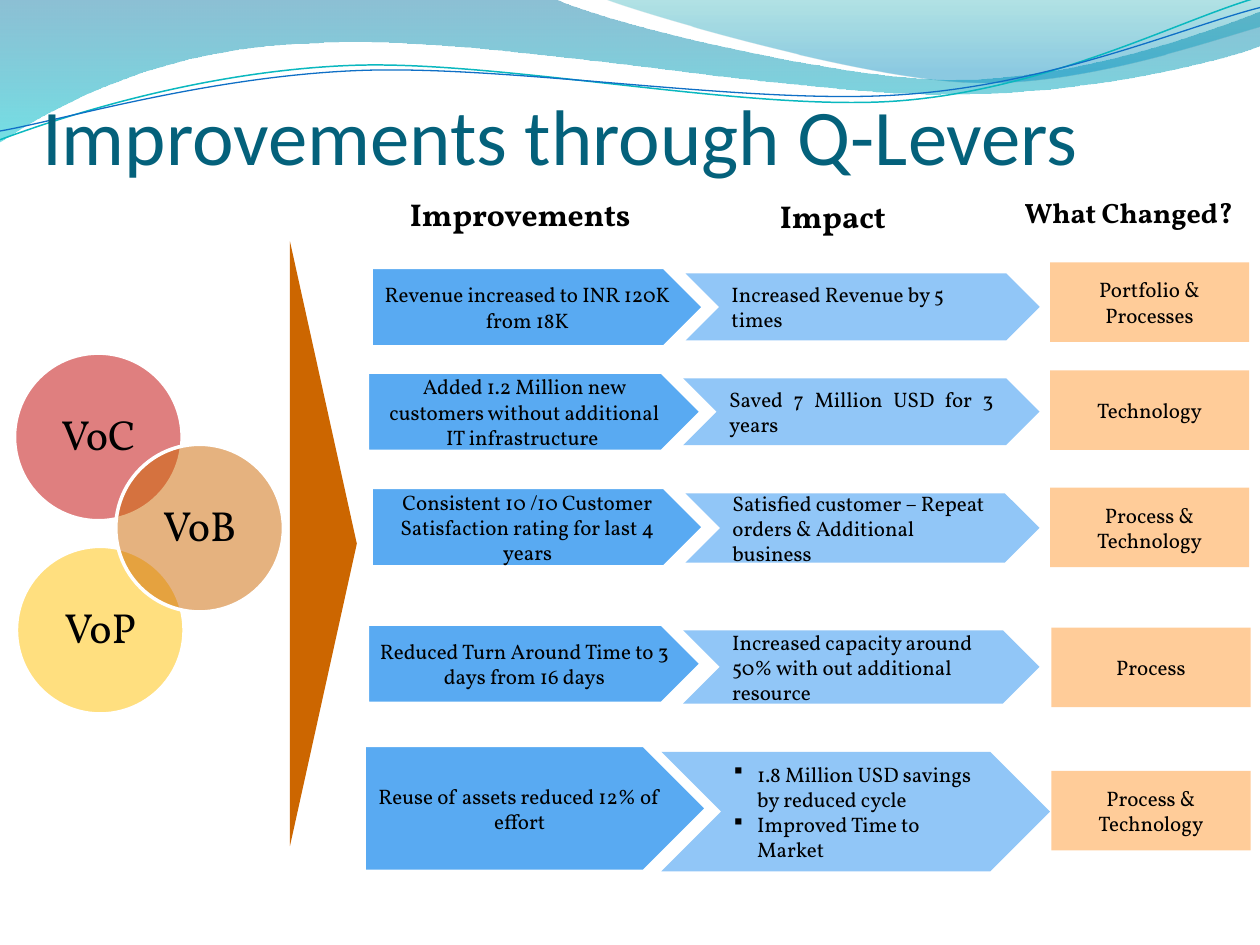
from lxml import etree
from pptx import Presentation
from pptx.dml.color import RGBColor
from pptx.enum.shapes import MSO_SHAPE
from pptx.enum.text import MSO_ANCHOR, MSO_AUTO_SIZE, PP_ALIGN
from pptx.oxml.ns import qn
from pptx.util import Pt

LEFT, CENTER, JUSTIFY = PP_ALIGN.LEFT, PP_ALIGN.CENTER, PP_ALIGN.JUSTIFY
MIDDLE, BOTTOM = MSO_ANCHOR.MIDDLE, MSO_ANCHOR.BOTTOM
OVAL, TRIANGLE = MSO_SHAPE.OVAL, MSO_SHAPE.ISOSCELES_TRIANGLE
PLATE, CHEVRON, RECTANGLE = MSO_SHAPE.PENTAGON, MSO_SHAPE.CHEVRON, MSO_SHAPE.RECTANGLE
NO_FIT, GROW = MSO_AUTO_SIZE.NONE, MSO_AUTO_SIZE.SHAPE_TO_FIT_TEXT

colour = RGBColor.from_string


def write(shape, lines, size, align=CENTER, bold=False, font="Vollkorn", ink="000000"):
    frame = shape.text_frame
    frame.word_wrap = True
    for number, line in enumerate(lines):
        paragraph = frame.add_paragraph() if number else frame.paragraphs[0]
        paragraph.alignment = align
        if len(lines) > 1:
            properties = paragraph._p.get_or_add_pPr()
            properties.set("marL", str(Pt(13.5)))
            properties.set("indent", str(Pt(-13.5)))
            etree.SubElement(properties, qn("a:buFont")).set("typeface", "Wingdings")
            etree.SubElement(properties, qn("a:buChar")).set("char", "§")
        run = paragraph.add_run()
        run.text = line
        run.font.name = font
        run.font.size = Pt(size)
        run.font.bold = bold
        run.font.color.rgb = colour(ink)
    return frame


def fade(shape, opacities):
    for tone, opacity in zip(shape._element.spPr.iter(qn("a:srgbClr")), opacities):
        etree.SubElement(tone, qn("a:alpha")).set("val", str(opacity * 1000))


deck = Presentation()
deck.slide_width, deck.slide_height = Pt(720), Pt(540)
slide = deck.slides.add_slide(deck.slide_layouts[5])
shapes = slide.shapes

bands = [
    ([(0, 0), (316.8, -0.7), (342.7, 12.2, 478.1, 45.4, 545.8, 45.4),
      (614.2, 45.4, 689.8, 18.7, 720, 6.5), (720.7, 25.9),
      (707.8, 31.7, 626.4, 54.7, 537.1, 54), (447.8, 54, 275, 20.2, 185, 24.5),
      (92.9, 25.9, 33.1, 59.8, -0.7, 81.4), (0, 0)],
     [(0, "0074A1", 45), (1, "00C6CF", 55)], None),
    ([(344.9, -0.7), (366.5, 7.9, 491, 44.6, 553.7, 46.8),
      (616.3, 49.7, 691.9, 23, 720, 15.1), (720, 0), (344.9, -0.7)],
     [(0, "00A1A9", 30), (0.8, "008BBF", 45)], None),
    ([(-1.4, 62.9), (33.8, 51.7, 114.1, 29.4, 199.8, 29.9),
      (284.9, 30.3, 425.8, 67.3, 512.4, 64.9), (599, 62.4, 676.5, 25.7, 720.2, 15.6)],
     None, ("0AB8BF", 0.85)),
    ([(-1.1, 57.9), (32.9, 53.7, 118.3, 32.5, 204.1, 33),
      (290.6, 33.4, 428.9, 63.8, 515.5, 61.4), (601.3, 59.6, 678.4, 30.1, 721.4, 21.3)],
     None, ("0F6FC6", 0.75)),
]
for segments, stops, stroke in bands:
    points = [(Pt(x), Pt(y)) for segment in segments
              for x, y in zip(segment[::2], segment[1::2])]
    builder = shapes.build_freeform(*points[0])
    builder.add_line_segments(points[1:], close=stops is not None)
    wave = builder.convert_to_shape()
    wave.shadow.inherit = False
    outline = next(wave._element.iter(qn("a:path")))
    nodes = iter(outline.findall(qn("a:lnTo")))
    for segment in segments[1:]:
        curve = next(nodes)
        if len(segment) == 6:
            curve.tag = qn("a:cubicBezTo")
            for node in (next(nodes), next(nodes)):
                curve.append(node[0])
                outline.remove(node)
    if stops:
        wave.fill.gradient()
        wave.fill.gradient_angle = 270
        for stop, (position, tone, _) in zip(wave.fill.gradient_stops, stops):
            stop.position = position
            stop.color.rgb = colour(tone)
        fade(wave, [opacity for _, _, opacity in stops])
        wave.line.fill.background()
    else:
        wave.rotation = 357.3
        wave.fill.background()
        wave.line.color.rgb = colour(stroke[0])
        wave.line.width = Pt(stroke[1])

title = shapes.title
title.left, title.top, title.width, title.height = Pt(24), Pt(42), Pt(648), Pt(61.5)
heading = write(title, ["Improvements through Q-Levers"], 45, LEFT, font="Calibri", ink="04617B")
heading.auto_size = NO_FIT
heading.vertical_anchor = BOTTOM
heading.margin_left = heading.margin_right = heading.margin_bottom = 0
heading.margin_top = Pt(3.6)
shapes._spTree.append(title._element)

voices = [("VoC", 8.3, 201.8, "C00000"), ("VoP", 9.4, 312.2, "FFC000"), ("VoB", 66.2, 253.9, "CC6600")]
for voice, x, y, tone in voices:
    circle = shapes.add_shape(OVAL, Pt(x), Pt(y), Pt(95.8), Pt(95.8))
    circle.shadow.inherit = False
    circle.fill.solid()
    circle.fill.fore_color.rgb = colour(tone)
    fade(circle, [50])
    circle.line.color.rgb = colour("FFFFFF")
    circle.line.width = Pt(2)
    label = write(circle, [voice], 24)
    label.vertical_anchor = MIDDLE
    label.paragraphs[0].line_spacing = 0.9
    label.margin_left = label.margin_right = label.margin_top = label.margin_bottom = Pt(2.5)

funnel = shapes.add_shape(TRIANGLE, Pt(12), Pt(291.6), Pt(345.6), Pt(38.2))
funnel.rotation = 90
funnel.shadow.inherit = False
funnel.fill.solid()
funnel.fill.fore_color.rgb = colour("CC6600")
funnel.line.fill.background()

columns = [("Improvements", 200.4, 108, 193.7, 28.8, 18), ("Impact", 375.8, 109.2, 200.2, 28.8, 18),
           ("What Changed?", 576, 108, 138.2, 26.6, 16)]
for name, x, y, width, height, size in columns:
    header = shapes.add_textbox(Pt(x), Pt(y), Pt(width), Pt(height))
    write(header, [name], size, bold=True).auto_size = GROW

rows = [
    ("Revenue increased to INR 120K from 18K", (212.1, 152.8, 190.1, 45.4),
     ["Increased Revenue by 5 times"], (391.8, 156.3, 202.3, 38.2), LEFT,
     "Portfolio & Processes", (600, 150)),
    ("Added 1.2 Million new customers without additional IT infrastructure ",
     (210, 212.6, 190.8, 45.4),
     ["Saved 7 Million USD for 3 years"], (390.4, 216.2, 203.6, 38.2), JUSTIFY,
     "Technology", (600, 211.7)),
    ("Consistent 10 /10 Customer Satisfaction rating for last 4 years",
     (212.1, 278.5, 190.1, 45.4),
     ["Satisfied customer – Repeat orders & Additional business"],
     (391.7, 281.9, 202.3, 39.6), LEFT,
     "Process & Technology", (600, 278.7)),
    ("Reduced Turn Around Time to 3 days from 16 days", (210, 356.6, 190.8, 45.4),
     ["Increased capacity around 50% with out additional resource"],
     (390.4, 360.2, 203.6, 41.8), LEFT,
     "Process", (600.8, 358.7)),
    ("Reuse of assets reduced 12% of effort", (208.1, 426, 195.8, 72),
     ["1.8 Million USD savings by reduced cycle", "Improved Time to Market"],
     (378, 429.7, 222, 68.2), LEFT,
     "Process & Technology", (600.8, 440.6)),
]
for improvement, plate_box, impact, chevron_box, impact_align, change, change_corner in rows:
    steps = [
        (PLATE, plate_box, "59AAF2", [improvement], CENTER),
        (CHEVRON, chevron_box, "91C6F7", impact, impact_align),
        (RECTANGLE, (*change_corner, 113.8, 45.4), "FFCC99", [change], CENTER),
    ]
    for kind, box, tone, lines, align in steps:
        step = shapes.add_shape(kind, *[Pt(length) for length in box])
        step.shadow.inherit = False
        step.fill.solid()
        step.fill.fore_color.rgb = colour(tone)
        if kind == PLATE:
            step.line.color.rgb = colour("FFFFFF")
            step.line.width = Pt(2)
        else:
            step.line.fill.background()
        write(step, lines, 12, align).vertical_anchor = MIDDLE

deck.save("out.pptx")
